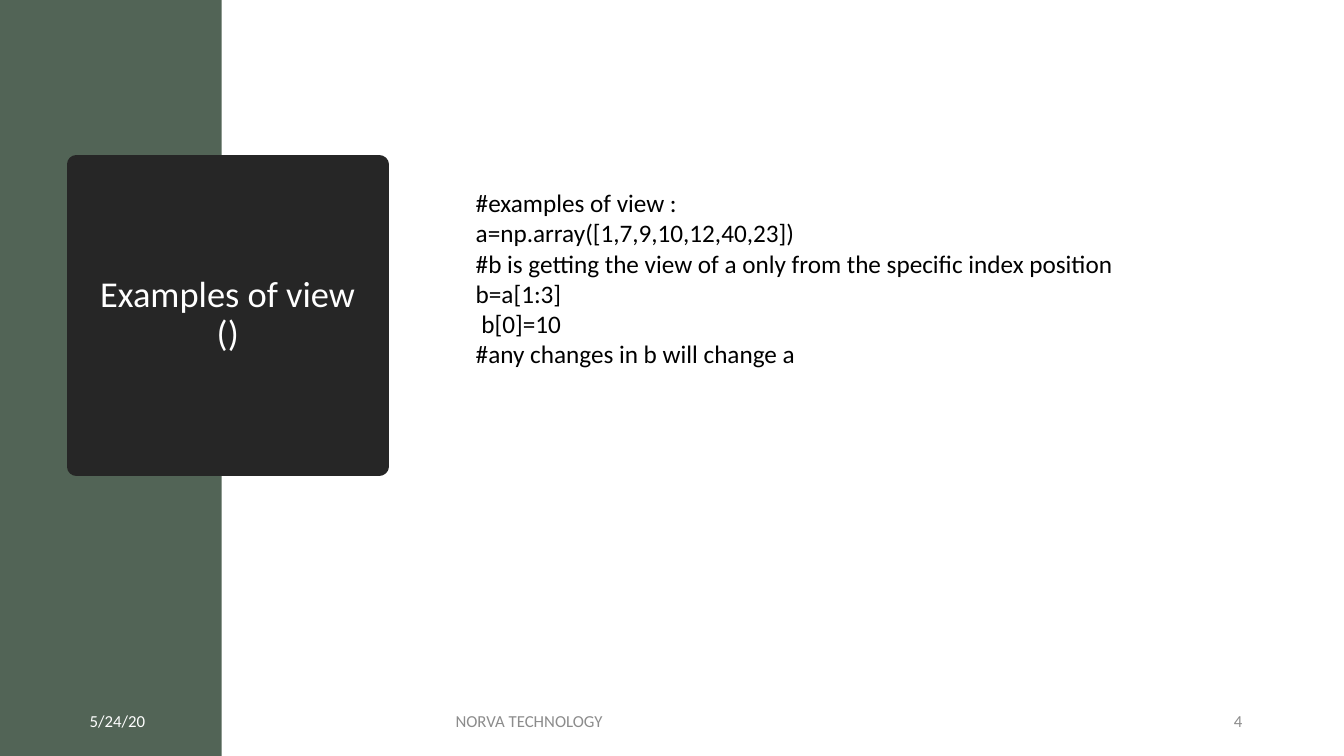
import pptx
import pptx.util
import pptx.dml.color
import pptx.enum.shapes
import pptx.enum.text
import pptx.oxml.ns
from lxml import etree

RGB = pptx.dml.color.RGBColor.from_string
ALIGN = pptx.enum.text.PP_ALIGN
SHAPE = pptx.enum.shapes.MSO_SHAPE
MIDDLE = pptx.enum.text.MSO_ANCHOR.MIDDLE

THEME = {
    "font": "Calibri",
    "green": RGB("526456"), "dark": RGB("262626"), "white": RGB("FFFFFF"),
    "black": RGB("000000"), "grey": RGB("8C8C8C"),
    "title": 26, "code": 18, "footer": 12, "border": 13.75,
}

prs = pptx.Presentation()
prs.slide_width = pptx.util.Inches(13.33)
prs.slide_height = pptx.util.Inches(7.5)
s = prs.slides.add_slide(prs.slide_layouts[6])


def box(x, y, w, h):
    """Turn percentages of the slide into left, top, width, height."""
    sx, sy = prs.slide_width / 100, prs.slide_height / 100
    return round(x * sx), round(y * sy), round(w * sx), round(h * sy)


def write(sp, lines, size, color, align=ALIGN.LEFT):
    """Fill a shape with one paragraph per line."""
    tf = sp.text_frame
    tf.word_wrap = True
    tf.text = "\n".join(lines)
    for p in tf.paragraphs:
        p.alignment = align
        p.font.name = THEME["font"]
        p.font.size = pptx.util.Pt(THEME[size])
        p.font.color.rgb = THEME[color]
    return tf


# Side band and title panel
panels = []
for place, color in [((0, 0, 16.5, 100), "green"), ((5.7, 21.73, 22.5, 40), "dark")]:
    sp = s.shapes.add_shape(SHAPE.RECTANGLE, *box(*place))
    sp.shadow.inherit = False
    sp.fill.solid()
    sp.fill.fore_color.rgb = THEME[color]
    sp.line.fill.background()
    panels.append(sp)

# Thick round-joined border and text of the title panel
title = panels[1]
title.line.color.rgb = THEME["dark"]
title.line.width = pptx.util.Pt(THEME["border"])
etree.SubElement(title.line._get_or_add_ln(), pptx.oxml.ns.qn("a:round"))
tf = write(title, ["Examples of view ()"], "title", "white", ALIGN.CENTER)
tf.vertical_anchor = MIDDLE
tf.margin_left = tf.margin_right = pptx.util.Inches(0.15)
tf.paragraphs[0].line_spacing = 0.9

# Code example
code = [
    "#examples of view :",
    "a=np.array([1,7,9,10,12,40,23])",
    "#b is getting the view of a only from the specific index position",
    "b=a[1:3]",
    " b[0]=10",
    "#any changes in b will change a",
]
write(s.shapes.add_textbox(*box(34.66, 24.13, 49.66, 33.73)), code, "code", "black")

# Footer: date, owner, slide number
footer = [
    (1.95, 13.58, "5/24/20", "white", ALIGN.CENTER),
    (33.16, 39.76, "NORVA TECHNOLOGY", "grey", ALIGN.LEFT),
    (81.1, 12.08, "4", "grey", ALIGN.RIGHT),
]
for x, w, text, color, align in footer:
    sp = s.shapes.add_textbox(*box(x, 92.67, w, 5.33))
    write(sp, [text], "footer", color, align).vertical_anchor = MIDDLE

prs.save("out.pptx")
